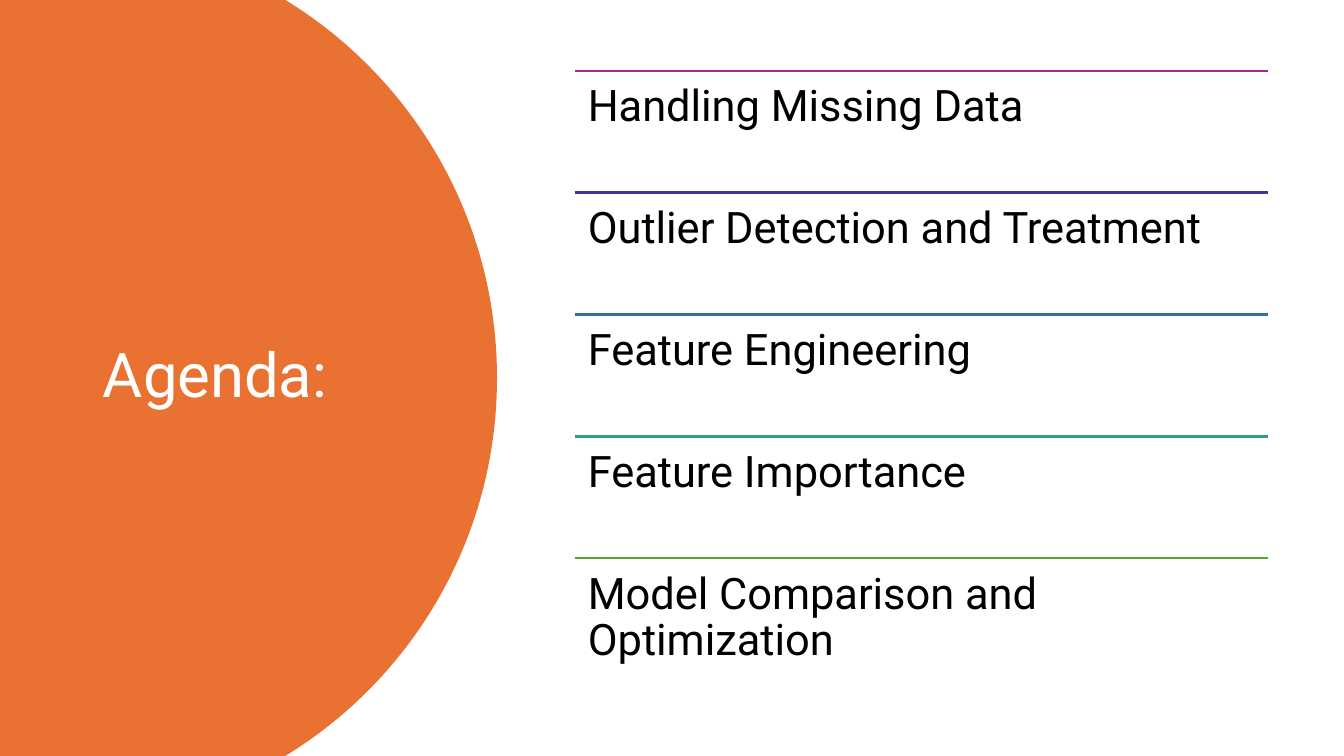
from lxml.etree import SubElement
from pptx import Presentation
from pptx.dml.color import RGBColor
from pptx.enum.shapes import MSO_CONNECTOR
from pptx.enum.text import MSO_ANCHOR, MSO_AUTO_SIZE, PP_ALIGN
from pptx.oxml.ns import qn
from pptx.util import Inches, Pt

ORANGE = RGBColor(0xE9, 0x71, 0x32)
WHITE = RGBColor(0xFF, 0xFF, 0xFF)
BLACK = RGBColor(0x00, 0x00, 0x00)
PURPLE = RGBColor(0xA0, 0x2B, 0x93)
INDIGO = RGBColor(0x4B, 0x2C, 0xA2)
BLUE = RGBColor(0x2C, 0x71, 0xA4)
TEAL = RGBColor(0x2D, 0xA5, 0x73)
GREEN = RGBColor(0x4E, 0xA7, 0x2E)

AGENDA = [
    ("Handling Missing Data", PURPLE),
    ("Outlier Detection and Treatment", INDIGO),
    ("Feature Engineering", BLUE),
    ("Feature Importance", TEAL),
    ("Model Comparison and Optimization", GREEN),
]
LIST_LEFT, LIST_TOP, LIST_WIDTH, ROW_HEIGHT = 5.7, 0.7, 6.88, 1.21
SLIDE_HEIGHT = 7.5
CURVE_STEPS = 60


def curve_points(start, control_1, control_2, end):
    """Return points along a cubic Bézier curve, both ends included."""
    points = []
    for step in range(CURVE_STEPS + 1):
        t = step / CURVE_STEPS
        weights = ((1 - t) ** 3, 3 * t * (1 - t) ** 2, 3 * t * t * (1 - t), t ** 3)
        points.append(tuple(
            sum(weight * value for weight, value in zip(weights, values))
            for values in zip(start, control_1, control_2, end)
        ))
    return points


def write_text(shape, text, *, size, color, font, anchor, margins):
    frame = shape.text_frame
    frame.word_wrap = True
    frame.auto_size = MSO_AUTO_SIZE.NONE
    frame.vertical_anchor = anchor
    frame.margin_left, frame.margin_top, frame.margin_right, frame.margin_bottom = (
        Inches(margin) for margin in margins
    )
    para = frame.paragraphs[0]
    para.alignment = PP_ALIGN.LEFT
    para.line_spacing = 0.9
    span = para.add_run()
    span.text = text
    span.font.name = font
    span.font.size = Pt(size)
    span.font.color.rgb = color


class AgendaPage:
    font = "Roboto"

    def __init__(self, deck):
        self.page = deck.slides.add_slide(deck.slide_layouts[5])

    def title(self, text, left, top, width, height):
        title = self.page.shapes.title
        title.left, title.top = Inches(left), Inches(top)
        title.width, title.height = Inches(width), Inches(height)
        write_text(title, text, size=44, color=WHITE, font=self.font,
                   anchor=MSO_ANCHOR.MIDDLE, margins=(0.1, 0.05, 0.1, 0.05))

    def side_panel(self):
        """Draw the round-edged panel behind the title."""
        upper = curve_points((2.83, 0), (4.09, 0.77), (4.93, 2.16), (4.93, 3.75))
        lower = [(x, SLIDE_HEIGHT - y) for x, y in reversed(upper[:-1])]
        outline = upper + lower + [(0, SLIDE_HEIGHT)]
        builder = self.page.shapes.build_freeform(0, 0)
        builder.add_line_segments([(Inches(x), Inches(y)) for x, y in outline])
        panel = builder.convert_to_shape()
        panel.shadow.inherit = False
        panel.fill.solid()
        panel.fill.fore_color.rgb = ORANGE
        panel.line.fill.background()
        self.page.shapes.title.element.addprevious(panel.element)

    def rule(self, left, top, width, color):
        line = self.page.shapes.add_connector(
            MSO_CONNECTOR.STRAIGHT, Inches(left), Inches(top),
            Inches(left + width), Inches(top))
        line.line.color.rgb = color
        line.line.width = Pt(1.5)
        SubElement(line.element.spPr, qn("a:effectLst"))

    def text(self, text, left, top, width, height):
        box = self.page.shapes.add_textbox(
            Inches(left), Inches(top), Inches(width), Inches(height))
        write_text(box, text, size=31, color=BLACK, font=self.font,
                   anchor=MSO_ANCHOR.TOP, margins=(0.13,) * 4)


def main():
    deck = Presentation()
    deck.slide_width, deck.slide_height = Inches(13.33), Inches(SLIDE_HEIGHT)
    agenda = AgendaPage(deck)
    agenda.side_panel()
    agenda.title("Agenda:", 0.92, 0.7, 3.23, 6.09)
    for row, (topic, color) in enumerate(AGENDA):
        top = LIST_TOP + row * ROW_HEIGHT
        agenda.rule(LIST_LEFT, top, LIST_WIDTH, color)
        agenda.text(topic, LIST_LEFT, top, LIST_WIDTH, ROW_HEIGHT)
    deck.save("out.pptx")


if __name__ == "__main__":
    main()
